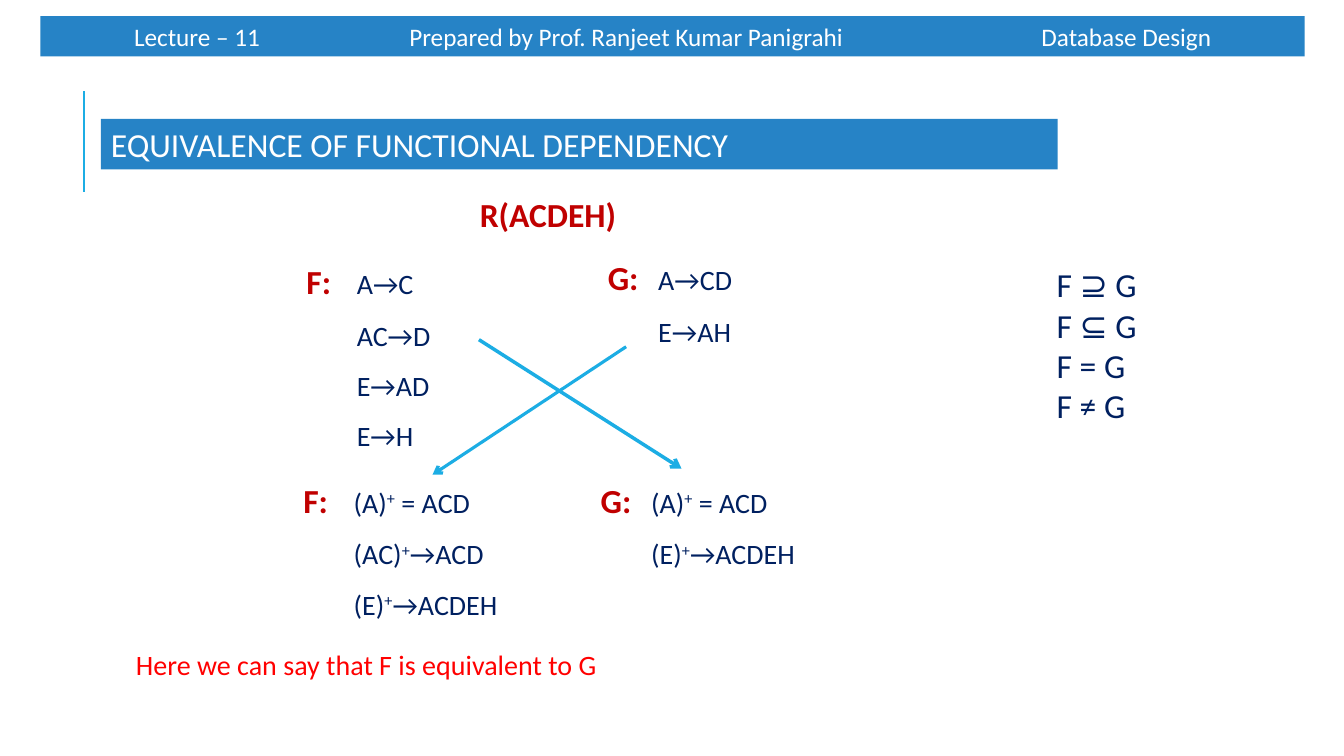
from dataclasses import dataclass

from lxml import etree
from pptx import Presentation
from pptx import util as u
from pptx.dml import color
from pptx.enum import shapes, text
from pptx.oxml import ns


@dataclass(frozen=True)
class Theme:
    font: str = "Calibri"
    bar: color.RGBColor = color.RGBColor.from_string("2683C6")
    line: color.RGBColor = color.RGBColor.from_string("1CADE4")
    white: color.RGBColor = color.RGBColor.from_string("FFFFFF")
    navy: color.RGBColor = color.RGBColor.from_string("002060")
    label: color.RGBColor = color.RGBColor.from_string("C00000")
    red: color.RGBColor = color.RGBColor.from_string("FF0000")
    large: int = 24
    medium: int = 20
    small: int = 18


@dataclass(frozen=True)
class Box:
    left: float
    top: float
    width: float
    height: float

    def lengths(self) -> list:
        return [u.Inches(value) for value in (self.left, self.top, self.width, self.height)]


@dataclass(frozen=True)
class DependencySet:
    name: str
    box: Box
    rules: tuple


@dataclass(frozen=True)
class Line:
    start: tuple
    end: tuple
    width: float
    arrow: bool = True


THEME = Theme()
INDENT = 0.5
HEADER = "Lecture – 11\tPrepared by Prof. Ranjeet Kumar Panigrahi\tDatabase Design"
HEADER_TABS = (2.73, 9)
RELATIONS = ("F ⊇ G", "F ⊆ G", "F = G", "F ≠ G")
DEPENDENCY_SETS = (
    DependencySet("F:", Box(2.94, 2.54, 2.75, 2.02), ("A→C", "AC→D", "E→AD", "E→H")),
    DependencySet("G:", Box(5.93, 2.5, 2.75, 1.01), ("A→CD", "E→AH")),
    DependencySet("F:", Box(2.91, 4.71, 2.75, 1.51), ("(A)+ = ACD", "(AC)+→ACD", "(E)+→ACDEH")),
    DependencySet("G:", Box(5.86, 4.71, 2.75, 1.01), ("(A)+ = ACD", "(E)+→ACDEH")),
)
LINES = (
    Line((0.83, 1.9), (0.83, 0.9), 1.5, arrow=False),
    Line((4.75, 3.37), (6.76, 4.65), 2.5),
    Line((6.21, 3.44), (4.29, 4.71), 2.25),
)


def set_font(font, size: int, colour: color.RGBColor, bold: bool = False) -> None:
    font.name = THEME.font
    font.size = u.Pt(size)
    font.bold = bold
    font.color.rgb = colour


def add_tabs(paragraph, positions: tuple) -> None:
    tabs = etree.SubElement(paragraph._p.get_or_add_pPr(), ns.qn("a:tabLst"))
    for position in positions:
        etree.SubElement(tabs, ns.qn("a:tab"), pos=str(u.Inches(position)), algn="l")


def place(shape, box: Box) -> None:
    shape.left, shape.top, shape.width, shape.height = box.lengths()
    shape.text_frame.auto_size = text.MSO_AUTO_SIZE.NONE


def fill_bar(shape) -> None:
    shape.fill.solid()
    shape.fill.fore_color.rgb = THEME.bar
    shape.text_frame.vertical_anchor = text.MSO_ANCHOR.MIDDLE


def add_text_box(slide, box: Box):
    frame = slide.shapes.add_textbox(*box.lengths()).text_frame
    frame.word_wrap = True
    return frame


def add_title(slide) -> None:
    title = slide.shapes.title
    place(title, Box(1, 1.18, 9.49, 0.5))
    fill_bar(title)
    title.text_frame.text = "EQUIVALENCE OF FUNCTIONAL DEPENDENCY"
    paragraph = title.text_frame.paragraphs[0]
    paragraph.alignment = text.PP_ALIGN.LEFT
    set_font(paragraph.font, THEME.large, THEME.white)


def add_header(slide) -> None:
    bar = slide.shapes.add_shape(
        shapes.MSO_SHAPE.RECTANGLE, *Box(0.4, 0.16, 12.54, 0.4).lengths()
    )
    bar.shadow.inherit = False
    bar.line.fill.background()
    fill_bar(bar)
    bar.text_frame.margin_left = u.Inches(0.93)
    bar.text_frame.text = HEADER
    paragraph = bar.text_frame.paragraphs[0]
    paragraph.alignment = text.PP_ALIGN.LEFT
    add_tabs(paragraph, HEADER_TABS)
    set_font(paragraph.font, THEME.small, THEME.white)


def add_relations(slide) -> None:
    body = slide.placeholders[1]
    place(body, Box(10.38, 2.57, 1.68, 1.72))
    body.text_frame.text = "\n".join(RELATIONS)
    for paragraph in body.text_frame.paragraphs:
        properties = paragraph._p.get_or_add_pPr()
        properties.set("marL", "0")
        properties.set("indent", "0")
        etree.SubElement(properties, ns.qn("a:buNone"))
        paragraph.space_before = u.Pt(0)
        set_font(paragraph.font, THEME.large, THEME.navy)


def add_rule(paragraph, rule: str) -> None:
    base, plus, rest = rule.partition("+")
    paragraph.add_run().text = base
    if plus:
        closure = paragraph.add_run()
        closure.text = plus
        closure._r.get_or_add_rPr().set("baseline", "30000")
        paragraph.add_run().text = rest


def add_dependency_set(slide, dependencies: DependencySet) -> None:
    frame = add_text_box(slide, dependencies.box)
    for index, rule in enumerate(dependencies.rules):
        if index == 0:
            paragraph = frame.paragraphs[0]
            add_tabs(paragraph, (INDENT,))
            label = paragraph.add_run()
            label.text = f"{dependencies.name}\t"
            set_font(label.font, THEME.large, THEME.label, bold=True)
        else:
            paragraph = frame.add_paragraph()
            paragraph.level = 1
            paragraph.line_spacing = 1.5
            properties = paragraph._p.get_or_add_pPr()
            properties.set("marL", str(u.Inches(INDENT)))
            properties.set("indent", "0")
        set_font(paragraph.font, THEME.medium, THEME.navy)
        add_rule(paragraph, rule)


def add_line(slide, line: Line) -> None:
    points = [u.Inches(value) for value in line.start + line.end]
    connector = slide.shapes.add_connector(shapes.MSO_CONNECTOR.STRAIGHT, *points)
    connector.line.color.rgb = THEME.line
    connector.line.width = u.Pt(line.width)
    if line.arrow:
        etree.SubElement(connector.line._get_or_add_ln(), ns.qn("a:tailEnd"), type="arrow")
    etree.SubElement(connector._element.spPr, ns.qn("a:effectLst"))


def main() -> None:
    presentation = Presentation()
    presentation.slide_width = u.Inches(13.33)
    presentation.slide_height = u.Inches(7.5)
    slide = presentation.slides.add_slide(presentation.slide_layouts[1])
    add_title(slide)
    add_header(slide)

    schema = add_text_box(slide, Box(4.06, 1.87, 2.75, 0.5))
    schema.text = "R(ACDEH)"
    schema.paragraphs[0].alignment = text.PP_ALIGN.CENTER
    set_font(schema.paragraphs[0].font, THEME.large, THEME.label, bold=True)

    for dependencies in DEPENDENCY_SETS:
        add_dependency_set(slide, dependencies)
    for line in LINES:
        add_line(slide, line)
    add_relations(slide)

    conclusion = add_text_box(slide, Box(1.25, 6.37, 10.71, 0.44))
    conclusion.text = "Here we can say that F is equivalent to G"
    set_font(conclusion.paragraphs[0].font, THEME.medium, THEME.red)
    presentation.save("out.pptx")


if __name__ == "__main__":
    main()
